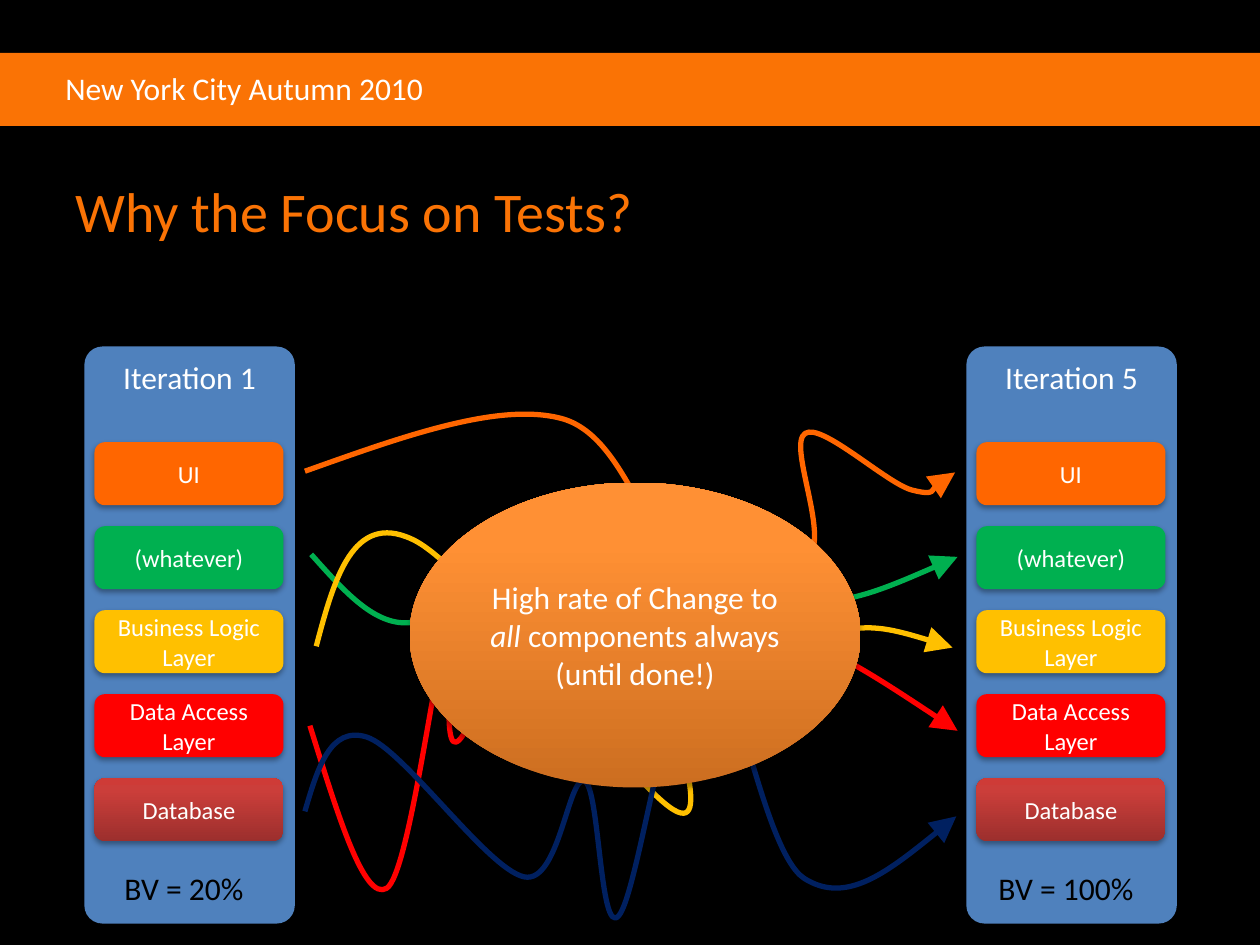
"""Build the slide on why iterative projects focus on tests."""
import copy

import lxml.etree
import pptx
import pptx.dml.color
import pptx.enum.shapes
import pptx.enum.text
import pptx.oxml
import pptx.oxml.ns
import pptx.util

Inches = pptx.util.Inches
Pt = pptx.util.Pt
RGBColor = pptx.dml.color.RGBColor
Shape = pptx.enum.shapes.MSO_SHAPE
Align = pptx.enum.text.PP_ALIGN
Anchor = pptx.enum.text.MSO_ANCHOR
AutoSize = pptx.enum.text.MSO_AUTO_SIZE
qn = pptx.oxml.ns.qn

FONT = "Calibri"
BLACK = RGBColor(0x00, 0x00, 0x00)
WHITE = RGBColor(0xFF, 0xFF, 0xFF)
BRAND = RGBColor(0xFA, 0x73, 0x05)
BLUE = RGBColor(0x4F, 0x81, 0xBD)
ORANGE = RGBColor(0xFF, 0x66, 0x00)
GREEN = RGBColor(0x00, 0xB0, 0x50)
YELLOW = RGBColor(0xFF, 0xC0, 0x00)
RED = RGBColor(0xFF, 0x00, 0x00)
NAVY = RGBColor(0x00, 0x20, 0x60)
BRICK = (RGBColor(0x9C, 0x2F, 0x2D), RGBColor(0xCB, 0x3E, 0x3A), RGBColor(0xCE, 0x3B, 0x37))
AMBER = (RGBColor(0xCC, 0x6E, 0x20), RGBColor(0xFF, 0x90, 0x34), RGBColor(0xFF, 0x91, 0x36))

LAYERS = [
    ("UI", ORANGE),
    ("(whatever)", GREEN),
    ("Business Logic Layer", YELLOW),
    ("Data Access Layer", RED),
    ("Database", BRICK),
]
LAYER_TOP = 3.51
LAYER_PITCH = 2 / 3
ITERATIONS = [(7.67, "Iteration 5", "BV = 100%"), (0.67, "Iteration 1", "BV = 20%")]

PATHS = [
    (ORANGE, [
        (2.42, 3.74), (3.18, 3.47), (3.95, 3.19), (4.45, 3.32), (4.96, 3.45),
        (5.12, 4.33), (5.45, 4.51), (5.78, 4.69), (6.26, 4.6), (6.42, 4.42),
        (6.58, 4.24), (6.25, 3.53), (6.39, 3.44), (6.52, 3.35), (7.04, 3.84),
        (7.24, 3.89), (7.44, 3.94), (7.6, 3.67), (7.58, 3.75)]),
    (GREEN, [
        (2.47, 4.4), (2.73, 4.69), (2.98, 4.98), (3.27, 4.94), (3.56, 4.91),
        (3.86, 4.17), (4.2, 4.18), (4.53, 4.19), (5.02, 5.02), (5.28, 5),
        (5.53, 4.98), (5.55, 4.1), (5.74, 4.06), (5.93, 4.02), (6.09, 4.7),
        (6.4, 4.76), (6.71, 4.81), (7.15, 4.62), (7.6, 4.42)]),
    (YELLOW, [
        (2.51, 5.13), (2.65, 4.6), (2.8, 4.06), (3.27, 4.28), (3.74, 4.49),
        (5, 6.23), (5.35, 6.43), (5.69, 6.63), (5.26, 5.57), (5.34, 5.46),
        (5.42, 5.36), (5.62, 5.9), (5.83, 5.83), (6.04, 5.76), (6.3, 5.15),
        (6.59, 5.04), (6.88, 4.93), (7.22, 5.03), (7.56, 5.14)]),
    (RED, [
        (2.46, 5.76), (2.68, 6.46), (2.89, 7.16), (3.07, 7.05), (3.25, 6.93),
        (3.45, 5.26), (3.54, 5.07), (3.64, 4.88), (3.49, 5.93), (3.62, 5.89),
        (3.76, 5.85), (4.01, 4.79), (4.35, 4.81), (4.69, 4.83), (5.36, 5.99),
        (5.65, 6.03), (5.95, 6.07), (5.78, 5.1), (6.1, 5.06), (6.43, 5.02),
        (7.01, 5.41), (7.6, 5.8)]),
    (NAVY, [
        (2.42, 6.44), (2.52, 6.1), (2.62, 5.76), (2.91, 5.85), (3.2, 5.94),
        (3.87, 6.9), (4.16, 6.96), (4.44, 7.02), (4.51, 6.15), (4.64, 6.2),
        (4.76, 6.25), (4.76, 7.44), (4.91, 7.27), (5.07, 7.09), (5.32, 5.18),
        (5.57, 5.13), (5.81, 5.08), (6.04, 6.74), (6.38, 6.97), (6.72, 7.19),
        (7.15, 6.84), (7.59, 6.48)]),
]


def add_span(para, text, size, color, italic=False):
    """Append one formatted run to a paragraph."""
    span = para.add_run()
    span.text = text
    span.font.name = FONT
    span.font.size = Pt(size)
    span.font.color.rgb = color
    span.font.italic = italic


def fill_shape(shape, fill):
    """Apply a solid colour, or a gradient rising from the bottom edge."""
    if isinstance(fill, RGBColor):
        shape.fill.solid()
        shape.fill.fore_color.rgb = fill
        return
    shape.fill.gradient()
    shape.fill.gradient_angle = 90
    stops = shape._element.spPr.find(".//" + qn("a:gsLst"))
    stops.append(copy.deepcopy(stops[-1]))
    for stop, color, position in zip(shape.fill.gradient_stops, fill, (0, 0.8, 1)):
        stop.color.rgb = color
        stop.position = position


def add_shadow(shape):
    """Put a soft black shadow under a shape."""
    effects = shape._element.spPr.find(qn("a:effectLst"))
    shadow = lxml.etree.SubElement(
        effects, qn("a:outerShdw"), blurRad=str(Pt(3.1)), dist=str(Pt(1.8)),
        dir="5400000", rotWithShape="0")
    color = lxml.etree.SubElement(shadow, qn("a:srgbClr"), val=str(BLACK))
    lxml.etree.SubElement(color, qn("a:alpha"), val="35000")


def add_block(page, kind, left, top, width, height, fill, raised=False):
    """Add a filled shape without an outline and return it."""
    shape = page.shapes.add_shape(kind, Inches(left), Inches(top), Inches(width), Inches(height))
    shape.shadow.inherit = False
    shape.line.fill.background()
    fill_shape(shape, fill)
    if raised:
        add_shadow(shape)
    shape.text_frame.word_wrap = True
    shape.text_frame.vertical_anchor = Anchor.MIDDLE
    shape.text_frame.paragraphs[0].alignment = Align.CENTER
    return shape


def add_label(page, left, top, width, text, color, align, wrap):
    """Add a one-line text box."""
    box = page.shapes.add_textbox(Inches(left), Inches(top), Inches(width), Inches(0.4))
    box.text_frame.word_wrap = wrap
    box.text_frame.auto_size = AutoSize.SHAPE_TO_FIT_TEXT
    para = box.text_frame.paragraphs[0]
    para.alignment = align
    add_span(para, text, 18, color)


def add_column(page, left, heading):
    """Add the blue panel of one iteration."""
    panel = add_block(page, Shape.ROUNDED_RECTANGLE, left, 2.75, 1.67, 4.58, BLUE)
    panel.adjustments[0] = 0.086
    panel.text_frame.vertical_anchor = Anchor.TOP
    add_span(panel.text_frame.paragraphs[0], heading, 18, WHITE)


def add_layers(page, left, value):
    """Stack the component boxes and the business value on a panel."""
    for index, (name, fill) in enumerate(LAYERS):
        top = LAYER_TOP + index * LAYER_PITCH
        layer = add_block(page, Shape.ROUNDED_RECTANGLE, left + 0.08, top, 1.5, 0.5, fill, True)
        add_span(layer.text_frame.paragraphs[0], name, 14, WHITE)
    add_label(page, left, 6.85, 1.58, value, BLACK, Align.CENTER, True)


def add_curve(page, color, points):
    """Draw a Bezier arrow through a start point and triples of control points."""
    start, *controls = [(Inches(x), Inches(y)) for x, y in points]
    builder = page.shapes.build_freeform(*start)
    builder.add_line_segments(controls, close=False)
    curve = builder.convert_to_shape()
    curve.shadow.inherit = False
    curve.fill.background()
    curve.line.color.rgb = color
    curve.line.width = Pt(3)
    line = curve._element.spPr.find(qn("a:ln"))
    lxml.etree.SubElement(line, qn("a:tailEnd"), type="triangle", w="lg", len="lg")
    outline = curve._element.spPr.find(".//" + qn("a:path"))
    segments = outline.findall(qn("a:lnTo"))
    for first in range(0, len(segments), 3):
        bend = lxml.etree.SubElement(outline, qn("a:cubicBezTo"))
        for segment in segments[first:first + 3]:
            bend.append(segment[0])
            outline.remove(segment)


def add_title(page, text):
    """Place and format the title placeholder."""
    title = page.shapes.title
    title.left, title.top, title.width, title.height = map(Inches, (0.5, 1.17, 9, 1))
    title.text_frame.vertical_anchor = Anchor.MIDDLE
    title.text_frame.auto_size = AutoSize.NONE
    para = title.text_frame.paragraphs[0]
    para.alignment = Align.LEFT
    add_span(para, text, 32, BRAND)


def add_message(page):
    """Add the central ellipse with its message."""
    ellipse = add_block(page, Shape.OVAL, 3.25, 3.83, 3.58, 2.42, AMBER, True)
    first = ellipse.text_frame.paragraphs[0]
    add_span(first, "High rate of Change to ", 18, WHITE)
    add_span(first, "all", 18, WHITE, True)
    add_span(first, " components always", 18, WHITE)
    second = ellipse.text_frame.add_paragraph()
    second.alignment = Align.CENTER
    add_span(second, "(until done!)", 18, WHITE)


def main():
    """Build and save the deck."""
    deck = pptx.Presentation()
    deck.slide_width, deck.slide_height = Inches(10), Inches(7.5)
    page = deck.slides.add_slide(deck.slide_layouts[5])
    page.background.fill.solid()
    page.background.fill.fore_color.rgb = BLACK
    add_block(page, Shape.RECTANGLE, 0, 0.42, 10, 0.58, BRAND)
    add_label(page, 0.42, 0.5, 3.07, "New York City Autumn 2010", WHITE, Align.LEFT, False)
    add_title(page, "Why the Focus on Tests?")
    for left, heading, value in ITERATIONS:
        add_column(page, left, heading)
        add_layers(page, left, value)
    for color, points in PATHS:
        add_curve(page, color, points)
    add_message(page)
    deck.save("out.pptx")


main()
